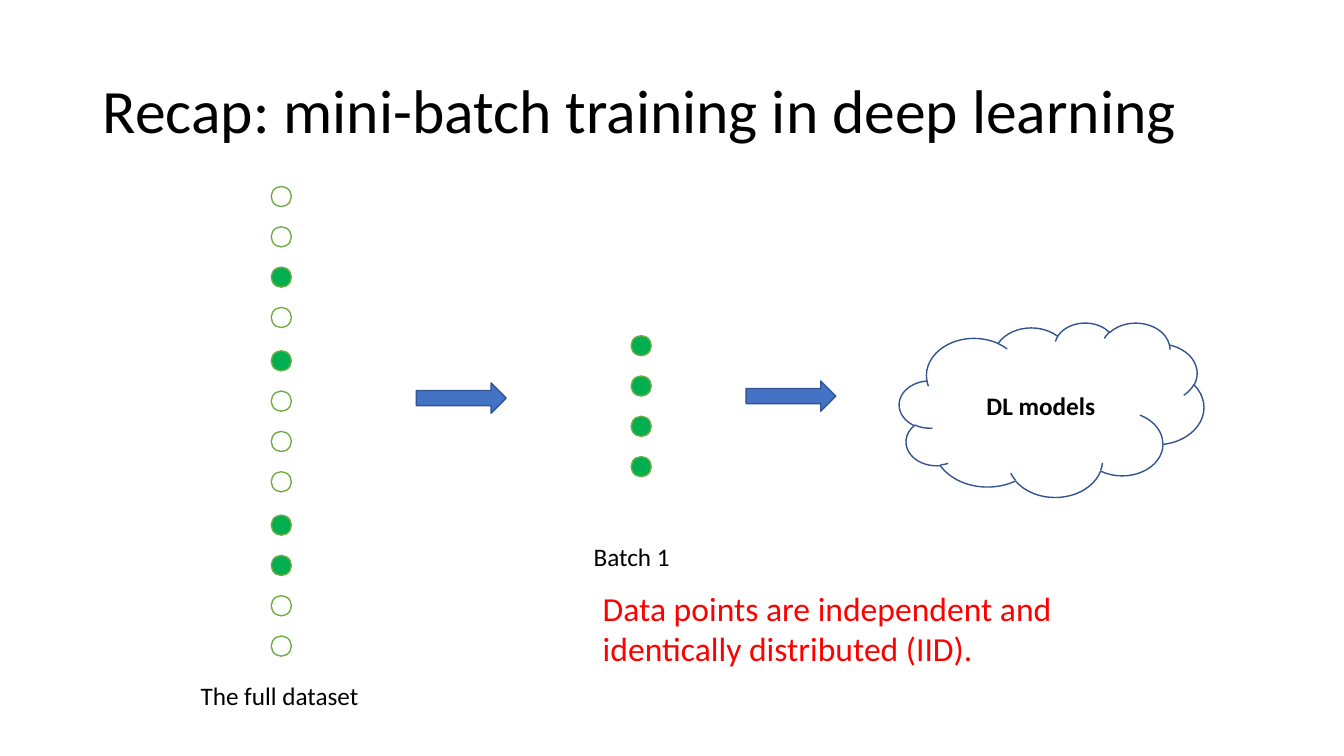
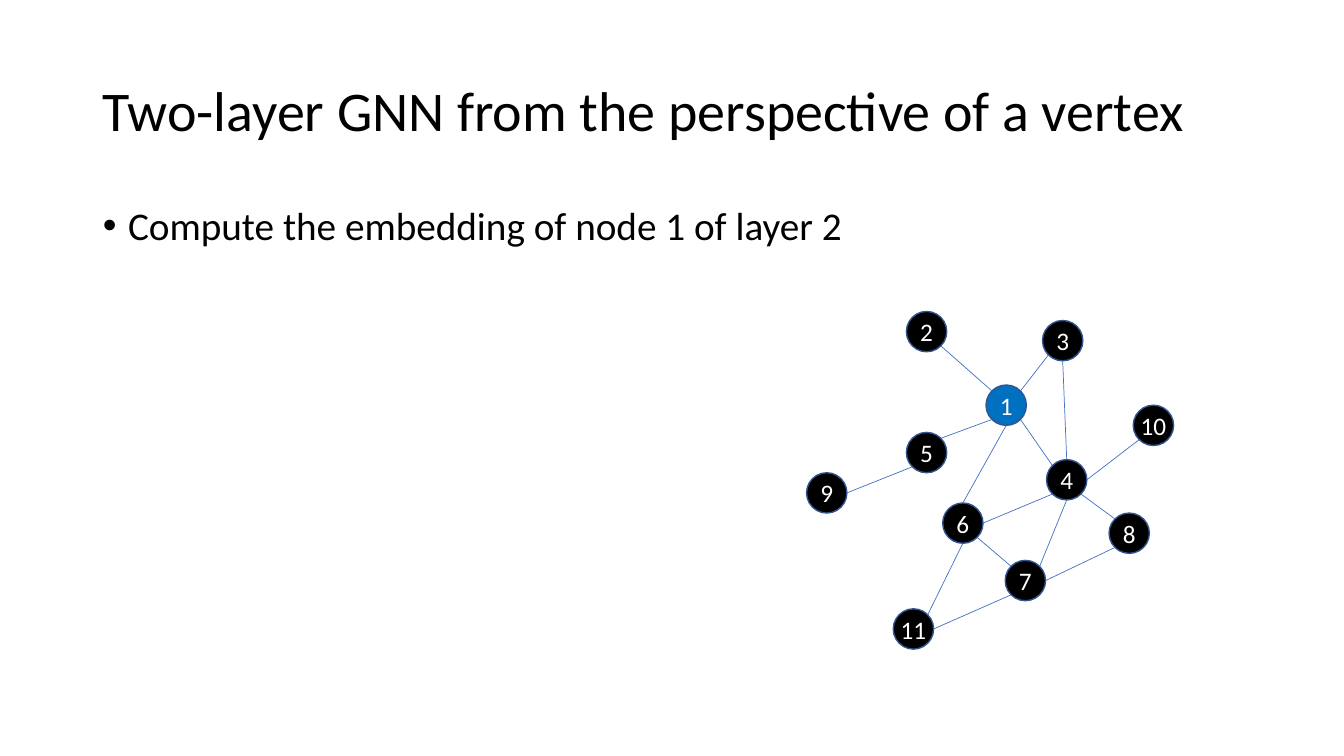
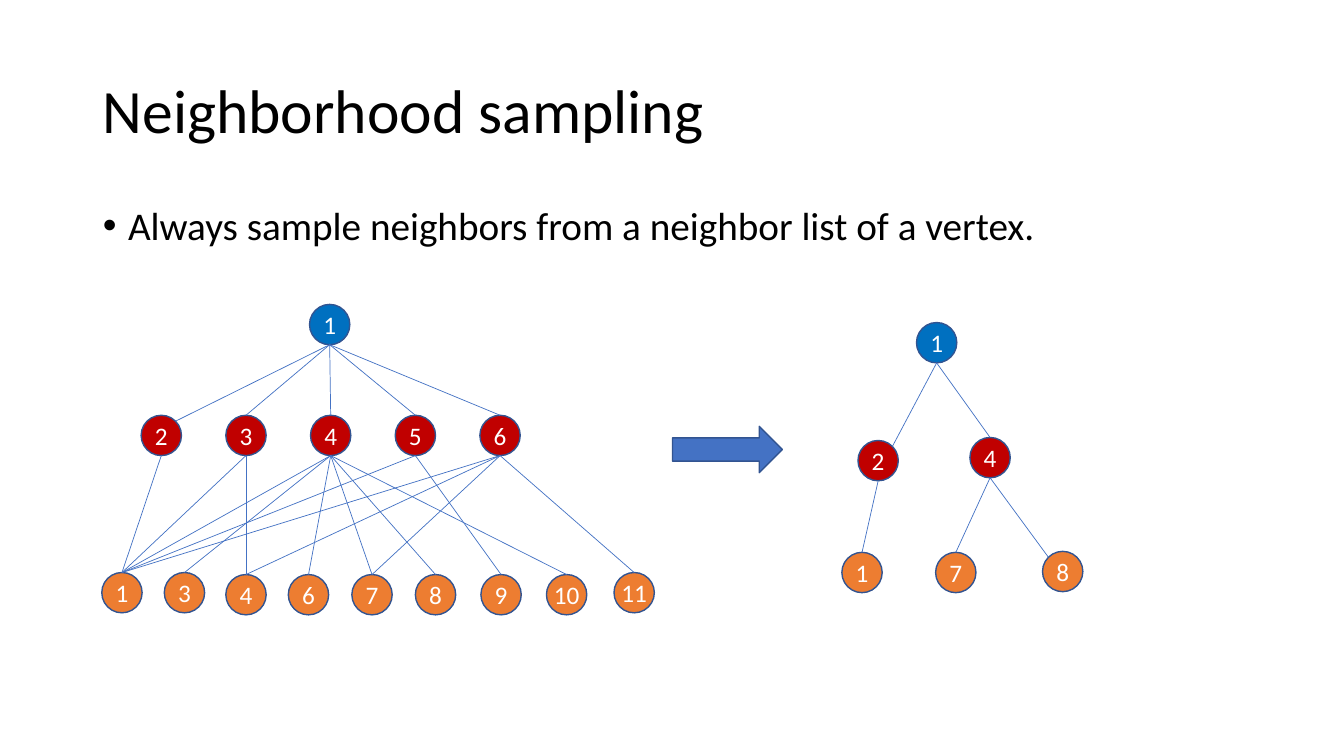
from math import cos, radians, sin

from lxml import etree
from pptx import Presentation
from pptx.dml.color import RGBColor
from pptx.enum.shapes import MSO_CONNECTOR, MSO_SHAPE
from pptx.enum.text import MSO_ANCHOR, MSO_AUTO_SIZE, PP_ALIGN
from pptx.oxml.ns import qn
from pptx.util import Inches, Pt

OVAL = MSO_SHAPE.OVAL
ARROW = MSO_SHAPE.RIGHT_ARROW
CLOUD = MSO_SHAPE.CLOUD
STRAIGHT = MSO_CONNECTOR.STRAIGHT
LEFT = PP_ALIGN.LEFT
CENTER = PP_ALIGN.CENTER
TOP = MSO_ANCHOR.TOP
MIDDLE = MSO_ANCHOR.MIDDLE
FIXED = MSO_AUTO_SIZE.NONE
GROW = MSO_AUTO_SIZE.SHAPE_TO_FIT_TEXT

BLACK = RGBColor(0x00, 0x00, 0x00)
WHITE = RGBColor(0xFF, 0xFF, 0xFF)
RED = RGBColor(0xFF, 0x00, 0x00)
GREEN = RGBColor(0x00, 0xB0, 0x50)
LEAF = RGBColor(0x70, 0xAD, 0x47)
BLUE = RGBColor(0x44, 0x72, 0xC4)
NAVY = RGBColor(0x32, 0x54, 0x91)
ROOT = RGBColor(0x00, 0x70, 0xC0)
WINE = RGBColor(0xC0, 0x00, 0x00)
ORANGE = RGBColor(0xED, 0x7D, 0x31)

FONT = "Calibri"
NODE = 0.4
DOT = 0.2
STEP = 0.4
FILLS = {"k": BLACK, "a": ROOT, "b": WINE, "c": ORANGE}
ANGLES = {"E": 0, "SE": 45, "S": 90, "SW": 135,
          "W": 180, "NW": 225, "N": 270, "NE": 315}


class Deck:
    def __init__(self):
        self.prs = Presentation()
        self.prs.slide_width = Inches(13.33)
        self.prs.slide_height = Inches(7.5)
        self.slide = None

    def start(self, title, size=44, point=None):
        layout = self.prs.slide_layouts[1 if point else 5]
        self.slide = self.prs.slides.add_slide(layout)
        self.holder(0, (0.92, 0.4, 11.5, 1.45), title, size, MIDDLE)
        if point:
            par = self.holder(1, (0.92, 2, 11.5, 4.76), point, 28, TOP)
            par.space_before = Pt(10)
            props = par._p.get_or_add_pPr()
            props.set("marL", str(Inches(0.25)))
            props.set("indent", str(Inches(-0.25)))

    def holder(self, index, box, text, size, anchor):
        shape = self.slide.placeholders[index]
        shape.left, shape.top, shape.width, shape.height = map(Inches, box)
        frame = shape.text_frame
        frame.auto_size = FIXED
        frame.vertical_anchor = anchor
        par = self.words(frame, text, size, BLACK)
        par.line_spacing = 0.9
        return par

    def words(self, frame, text, size, color, align=LEFT, bold=False):
        par = frame.paragraphs[0]
        par.alignment = align
        run = par.add_run()
        run.text = text
        font = run.font
        font.name, font.size, font.bold = FONT, Pt(size), bold
        font.color.rgb = color
        return par

    def label(self, box, text, size=18, color=BLACK, wrap=False):
        frame = self.slide.shapes.add_textbox(*map(Inches, box)).text_frame
        frame.word_wrap = wrap
        frame.auto_size = GROW
        self.words(frame, text, size, color)

    def shape(self, kind, box, fill=None, line=NAVY, group=None):
        shapes = (group or self.slide).shapes
        shape = shapes.add_shape(kind, *map(Inches, box))
        shape.shadow.inherit = False
        if fill is None:
            shape.fill.background()
        else:
            shape.fill.solid()
            shape.fill.fore_color.rgb = fill
        shape.line.color.rgb = line
        shape.line.width = Pt(1)
        return shape

    def arrow(self, *box):
        self.shape(ARROW, box, BLUE)

    def dots(self, left, top, marks):
        for row, mark in enumerate(marks):
            fill = GREEN if mark == "x" else WHITE
            self.shape(OVAL, (left, top + row * STEP, DOT, DOT), fill, LEAF)

    def cloud(self, box, text):
        frame = self.shape(CLOUD, box).text_frame
        frame.vertical_anchor = MIDDLE
        self.words(frame, text, 18, BLACK, CENTER, True)

    def node(self, group, key, spot):
        shape = self.shape(OVAL, (*spot, NODE, NODE), FILLS[key[0]], NAVY, group)
        frame = shape.text_frame
        frame.word_wrap = False
        frame.vertical_anchor = MIDDLE
        frame.margin_left = frame.margin_right = 0
        frame.margin_top = frame.margin_bottom = 0
        self.words(frame, key[1:], 18, WHITE, CENTER)

    def link(self, group, start, end):
        line = group.shapes.add_connector(STRAIGHT, *map(Inches, start + end))
        line.line.color.rgb = BLUE
        line.line.width = Pt(0.5)
        etree.SubElement(line._element.spPr, qn("a:effectLst"))

    def graph(self, nodes, links):
        group = self.slide.shapes.add_group_shape()
        for key, spot in nodes.items():
            self.node(group, key, spot)
        for pair in links.split():
            start, end = pair.split("-")
            self.link(group, rim(nodes, start, "S"), rim(nodes, end, "N"))


def rim(nodes, name, side):
    key, _, given = name.partition(".")
    left, top = nodes[key]
    angle = radians(ANGLES[given or side])
    half = NODE / 2
    return left + half + half * cos(angle), top + half + half * sin(angle)


def batch(deck):
    deck.start("Recap: mini-batch training in deep learning")
    for part, marks in enumerate(("ooxo", "xooo", "xxoo")):
        deck.dots(2.69, 1.85 + part * 1.63, marks)
    deck.dots(6.26, 3.33, "xxxx")
    deck.arrow(4.13, 3.8, 0.89, 0.3)
    deck.arrow(7.4, 3.78, 0.89, 0.3)
    deck.cloud((8.92, 3.2, 3.02, 1.73), "DL models")
    deck.label((5.79, 5.32, 0.96, 0.4), "Batch 1")
    deck.label((1.89, 6.7, 1.79, 0.4), "The full dataset")
    deck.label((5.88, 5.78, 4.9, 0.91),
               "Data points are independent and identically distributed (IID).",
               24, RED, True)


def vertex(deck):
    deck.start("Two-layer GNN from the perspective of a vertex", 40,
               "Compute the embedding of node 1 of layer 2")
    nodes = {
        "a1": (9.78, 3.82), "k2": (8.99, 3.09), "k3": (10.34, 3.18),
        "k4": (10.38, 4.56), "k5": (8.99, 4.29), "k6": (9.35, 4.99),
        "k7": (9.97, 5.56), "k8": (11, 5.09), "k9": (8, 4.69),
        "k10": (11.24, 4.02), "k11": (8.86, 6.04),
    }
    deck.graph(nodes, """
        k3.SW-a1.NE k2.SE-a1.NW a1.SW-k5.NE a1.SE-k4.NW a1-k6
        k6.E-k4.SW k3-k4 k9.E-k5.SW k6.SE-k7.NW k8.SW-k7.E
        k4.SE-k8.NW k4-k7.NE k4.E-k10.SW k11.NE-k6.S k11.E-k7.SW""")


def sample(deck):
    deck.start("Neighborhood sampling",
               point="Always sample neighbors from a neighbor list of a vertex.")
    deck.arrow(6.67, 4.23, 1.09, 0.46)
    few = {
        "a1": (9.09, 3.2), "b2": (8.51, 4.37), "b4": (9.62, 4.34),
        "c1": (8.35, 5.48), "c7": (9.28, 5.48), "c8": (10.34, 5.47),
    }
    deck.graph(few, "a1-b2.NE a1-b4 b2-c1 b4-c7 b4-c8.NW")
    full = {"a1": (3.07, 3.02)}
    full.update({f"b{i + 2}": (1.4 + i * 0.84, 4.12) for i in range(5)})
    full.update({
        "c1": (1.01, 5.68), "c3": (1.63, 5.68), "c4": (2.24, 5.7),
        "c6": (2.86, 5.7), "c7": (3.49, 5.7), "c8": (4.12, 5.7),
        "c9": (4.77, 5.7), "c10": (5.42, 5.7), "c11": (6.09, 5.68),
    })
    deck.graph(full, """
        a1-b2.NE a1-b3 a1-b4 a1-b5 a1-b6
        b2-c1 b3-c1 b3-c4 b5-c1 b5-c9
        b4-c1 b4-c3 b4-c6 b4-c7 b4-c8 b4-c10
        b6-c1 b6-c4 b6-c7 b6-c11""")


def main():
    deck = Deck()
    batch(deck)
    vertex(deck)
    sample(deck)
    deck.prs.save("out.pptx")


if __name__ == "__main__":
    main()
